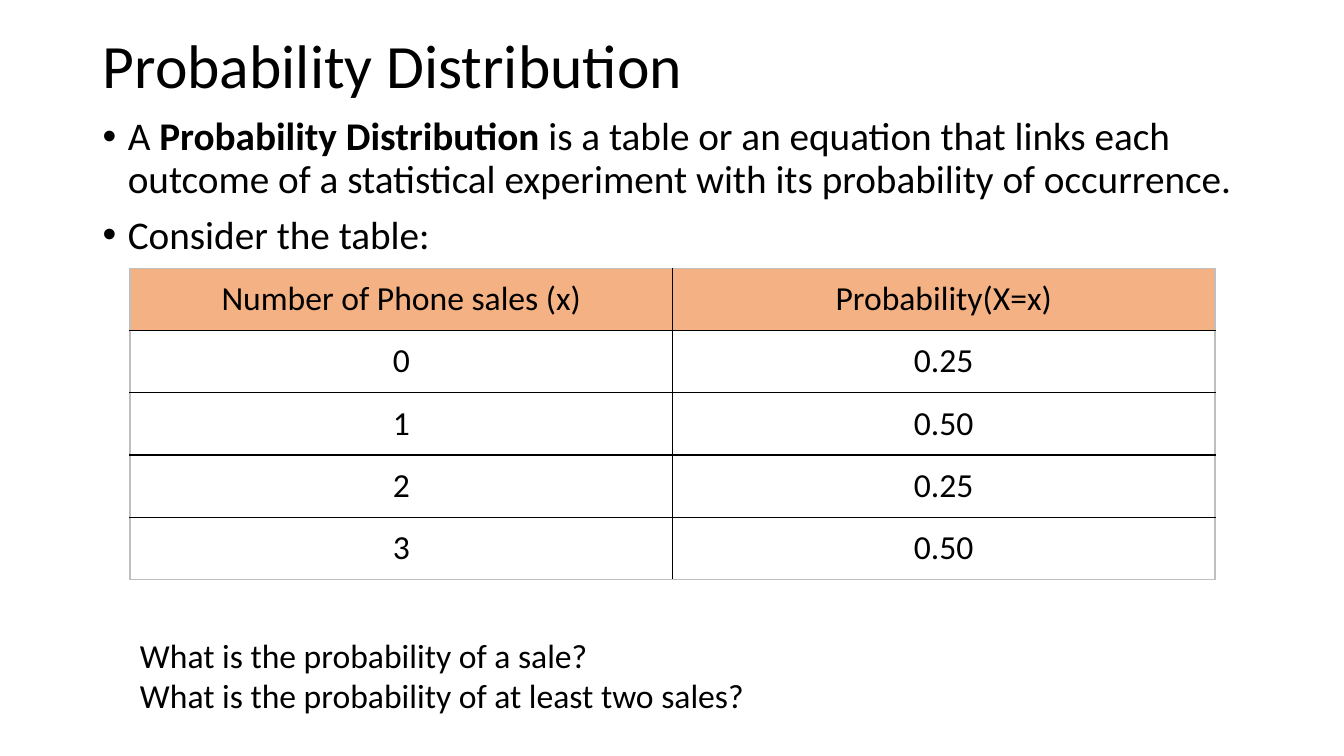
from lxml import etree
from pptx import Presentation
from pptx.dml.color import RGBColor
from pptx.enum.text import MSO_ANCHOR, MSO_AUTO_SIZE, PP_ALIGN
from pptx.oxml.ns import qn
from pptx.util import Inches, Pt

FONT = "Calibri"
BLACK = RGBColor(0x00, 0x00, 0x00)
ORANGE = RGBColor(0xF4, 0xB1, 0x83)
GRAY = RGBColor(0xBF, 0xBF, 0xBF)

BULLETS = [
    [("A ", False), ("Probability Distribution", True),
     (" is a table or an equation that links each outcome of a statistical "
      "experiment with its probability of occurrence.", False)],
    [("Consider the table:", False)],
]
DISTRIBUTION = [
    ("Number of Phone sales (x)", "Probability(X=x)"),
    ("0", "0.25"),
    ("1", "0.50"),
    ("2", "0.25"),
    ("3", "0.50"),
]
QUESTIONS = [
    [("What is the probability of a sale?", False)],
    [("What is the probability of at least two sales?", False)],
]


def add_run(paragraph, text, size, bold=False):
    run = paragraph.add_run()
    run.text = text
    run.font.name = FONT
    run.font.size = Pt(size)
    run.font.bold = bold
    run.font.color.rgb = BLACK


def set_bullet(paragraph):
    paragraph.line_spacing = 0.9
    paragraph.space_before = Pt(10)
    properties = paragraph._p.get_or_add_pPr()
    properties.set("marL", str(Inches(0.25)))
    properties.set("indent", str(-Inches(0.25)))
    etree.SubElement(properties, qn("a:buFont"), typeface="Arial")
    etree.SubElement(properties, qn("a:buChar"), char="•")


def add_title(slide, text):
    title = slide.shapes.title
    title.left, title.top = Inches(0.92), Inches(0.24)
    title.width, title.height = Inches(11.5), Inches(0.87)
    frame = title.text_frame
    frame.auto_size = MSO_AUTO_SIZE.NONE
    frame.vertical_anchor = MSO_ANCHOR.MIDDLE
    paragraph = frame.paragraphs[0]
    paragraph.alignment = PP_ALIGN.LEFT
    paragraph.line_spacing = 0.9
    add_run(paragraph, text, 44)


def add_text(slide, left, top, width, height, lines, size, bulleted=False):
    box = slide.shapes.add_textbox(
        Inches(left), Inches(top), Inches(width), Inches(height))
    frame = box.text_frame
    frame.word_wrap = True
    for index, line in enumerate(lines):
        paragraph = frame.add_paragraph() if index else frame.paragraphs[0]
        if bulleted:
            set_bullet(paragraph)
        for text, bold in line:
            add_run(paragraph, text, size, bold)


def set_borders(cell, colors):
    """Draw the cell's edges; colors maps each edge tag to its colour."""
    properties = cell._tc.get_or_add_tcPr()
    for index, (edge, color) in enumerate(colors.items()):
        line = etree.Element(qn(f"a:{edge}"), w=str(Pt(1)))
        fill = etree.SubElement(line, qn("a:solidFill"))
        etree.SubElement(fill, qn("a:srgbClr"), val=str(color))
        properties.insert(index, line)


def add_distribution_table(slide, rows):
    row_count, column_count = len(rows), len(rows[0])
    table = slide.shapes.add_table(
        row_count, column_count,
        Inches(1.29), Inches(2.66), Inches(10.76), Inches(3.09)).table
    table.horz_banding = False
    for r, row in enumerate(rows):
        for c, text in enumerate(row):
            cell = table.cell(r, c)
            cell.vertical_anchor = MSO_ANCHOR.MIDDLE
            cell.margin_left = cell.margin_right = Inches(0.12)
            if r == 0:
                cell.fill.solid()
                cell.fill.fore_color.rgb = ORANGE
            else:
                cell.fill.background()
            # Gray outer frame, black inner grid
            set_borders(cell, {
                "lnL": GRAY if c == 0 else BLACK,
                "lnR": GRAY if c == column_count - 1 else BLACK,
                "lnT": GRAY if r == 0 else BLACK,
                "lnB": GRAY if r == row_count - 1 else BLACK,
            })
            paragraph = cell.text_frame.paragraphs[0]
            paragraph.alignment = PP_ALIGN.CENTER
            add_run(paragraph, text, 24)


def main():
    presentation = Presentation()
    presentation.slide_width = Inches(13.33)
    presentation.slide_height = Inches(7.5)
    slide = presentation.slides.add_slide(presentation.slide_layouts[5])

    # Title and definition
    add_title(slide, "Probability Distribution")
    add_text(slide, 0.92, 1.11, 11.5, 5.65, BULLETS, 28, bulleted=True)

    # Distribution table and the questions about it
    add_distribution_table(slide, DISTRIBUTION)
    add_text(slide, 1.29, 6.25, 10.76, 1.21, QUESTIONS, 24)

    presentation.save("out.pptx")


if __name__ == "__main__":
    main()
